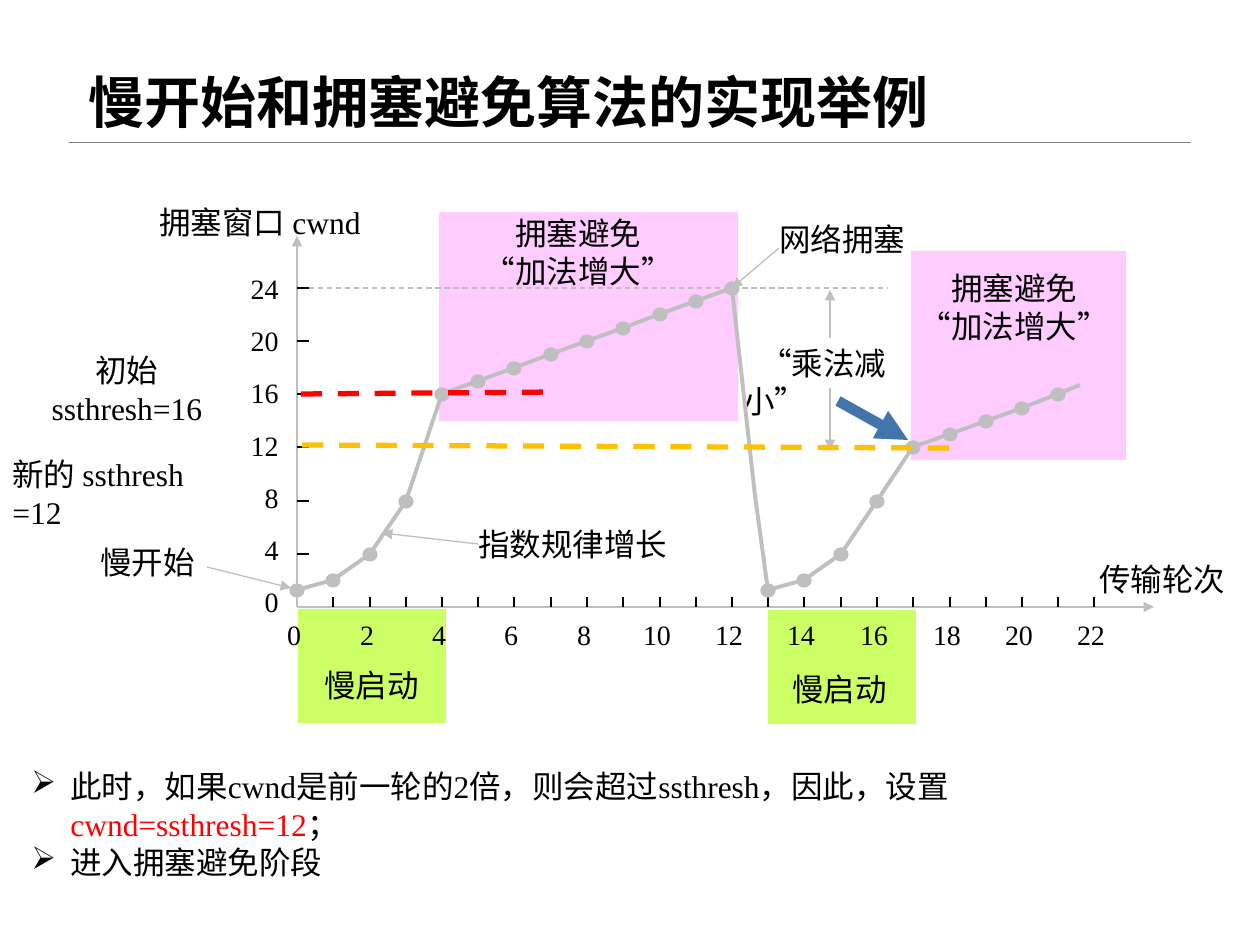
from dataclasses import dataclass

from lxml.etree import SubElement
from pptx import Presentation
from pptx.dml.color import RGBColor
from pptx.enum.dml import MSO_LINE
from pptx.enum.shapes import MSO_CONNECTOR, MSO_SHAPE
from pptx.enum.text import MSO_ANCHOR as Anchor, PP_ALIGN as Align
from pptx.oxml.ns import qn
from pptx.util import Emu, Pt


@dataclass(frozen=True)
class Theme:
    font: str = "Times New Roman"
    title: int = 32
    body: int = 18
    tick: int = 16
    ink: str = "000000"
    paper: str = "FFFFFF"
    rule: str = "808080"
    curve: str = "BFBFBF"
    avoidance: str = "FFCCFF"
    slow_start: str = "CCFF66"
    first_limit: str = "FF0000"
    second_limit: str = "FFC000"
    pointer: str = "4276AA"


THEME = Theme()
SCALE = 914400 / 126
ORIGIN_X, ORIGIN_Y = 297, 607
ROUND_STEP, WINDOW_STEP = 36.25, 13.3
GROWTH = [1.3, 2, 4, 8, *range(16, 25)]
RESTART = [1.3, 2, 4, 8, *range(12, 17)]
RESTART_ROUND = 13


def px(length):
    return Emu(round(length * SCALE))


def color(value):
    return RGBColor.from_string(value)


def plot(transmission, window):
    return (round(ORIGIN_X + transmission * ROUND_STEP),
            round(ORIGIN_Y - window * WINDOW_STEP))


def apply(target, formats):
    for name, value in formats.items():
        setattr(target, name, value)


def write(frame, paragraphs, size=THEME.body, bold=False, bullet=None, **formats):
    for index, parts in enumerate(paragraphs):
        paragraph = frame.paragraphs[0] if index == 0 else frame.add_paragraph()
        apply(paragraph, formats)
        if bullet:
            properties = paragraph._p.get_or_add_pPr()
            properties.set("marL", str(px(39)))
            properties.set("indent", str(-px(39)))
            SubElement(properties, qn("a:buChar")).set("char", bullet)
        for words, ink in parts:
            run = paragraph.add_run()
            run.text = words
            apply(run.font, {"name": THEME.font, "size": Pt(size), "bold": bold})
            run.font.color.rgb = color(ink)


def add_text(slide, box, lines, wrap=False, anchor=Anchor.TOP, **formats):
    frame = slide.shapes.add_textbox(*map(px, box)).text_frame
    apply(frame, {"word_wrap": wrap, "vertical_anchor": anchor})
    paragraphs = [[(line, THEME.ink)] if isinstance(line, str) else line
                  for line in lines]
    write(frame, paragraphs, **formats)


def add_block(slide, box, fill, kind=MSO_SHAPE.RECTANGLE, outline=None):
    block = slide.shapes.add_shape(kind, *map(px, box))
    block.shadow.inherit = False
    block.fill.solid()
    block.fill.fore_color.rgb = color(fill)
    if outline:
        block.line.color.rgb = color(outline)
        block.line.width = Pt(0.75)
    else:
        block.line.fill.background()
    return block


def add_line(slide, start, end, ink=THEME.curve, width=0.75, dash=None, ends=()):
    line = slide.shapes.add_connector(
        MSO_CONNECTOR.STRAIGHT, *map(px, (*start, *end)))
    apply(line.line, {"width": Pt(width), "dash_style": dash})
    line.line.color.rgb = color(ink)
    outline = line.line._get_or_add_ln()
    for end_tag in ends:
        SubElement(outline, qn(f"a:{end_tag}")).set("type", "triangle")
    SubElement(line._element.spPr, qn("a:effectLst"))


def add_halving_note(slide):
    add_line(slide, (830, 290), (830, 450), ends=("headEnd", "tailEnd"))
    note = add_block(slide, (731, 338, 190, 50), THEME.paper)
    apply(note.text_frame, {"word_wrap": True, "vertical_anchor": Anchor.TOP})
    write(note.text_frame, [[("“乘法减小”", THEME.ink)]], alignment=Align.LEFT)
    note.text_frame.paragraphs[0]._p.get_or_add_pPr().set("indent", str(px(17)))


def add_axes(slide):
    origin = (ORIGIN_X, ORIGIN_Y)
    add_line(slide, (ORIGIN_X, 236), origin, ends=("headEnd",))
    add_line(slide, origin, (1154, ORIGIN_Y), ends=("tailEnd",))
    for transmission in range(1, 23):
        x, y = plot(transmission, 0)
        add_line(slide, (x, y - 10), (x, y), THEME.ink)
    for transmission in range(0, 23, 2):
        x, y = plot(transmission, 0)
        add_text(slide, (x - 30, 611, 54, 47), [str(transmission)],
                 size=THEME.tick, alignment=Align.CENTER)
    for window in range(0, 25, 4):
        x, y = plot(0, window)
        if window:
            add_line(slide, (x, y), (x + 12, y), THEME.ink)
        add_text(slide, (237, round(578 - window * 13.04), 54, 47), [str(window)],
                 size=THEME.tick, alignment=Align.RIGHT)


def add_window_curve(slide):
    growth = [plot(*point) for point in enumerate(GROWTH)]
    restart = [plot(*point) for point in enumerate(RESTART, RESTART_ROUND)]
    for x, y in growth + restart:
        add_block(slide, (x - 7, y - 6, 14, 13), THEME.curve,
                  MSO_SHAPE.OVAL, THEME.curve)
    route = [*growth, plot(12.63, 8.4), *restart, plot(21.6, 16.7)]
    builder = slide.shapes.build_freeform(*route[0], scale=SCALE)
    builder.add_line_segments(route[1:], close=False)
    curve = builder.convert_to_shape()
    curve.shadow.inherit = False
    curve.fill.background()
    curve.line.color.rgb = color(THEME.curve)
    curve.line.width = Pt(2.25)


def add_labels(slide):
    labels = [
        ((147, 197, 233, 50), "拥塞窗口 cwnd"),
        ((767, 214, 151, 50), "网络拥塞"),
        ((466, 519, 214, 50), "指数规律增长"),
        ((88, 537, 136, 50), "慢开始"),
        ((312, 660, 120, 50), "慢启动"),
        ((780, 664, 120, 50), "慢启动"),
        ((1087, 554, 151, 50), "传输轮次"),
    ]
    for box, words in labels:
        add_text(slide, box, [words])
    for box in ((470, 208, 217, 89), (906, 263, 217, 89)):
        add_text(slide, box, ["拥塞避免", "“加法增大”"], alignment=Align.CENTER)
    add_text(slide, (0, 449, 230, 88), ["新的 ssthresh =12"], wrap=True)
    add_text(slide, (22, 345, 210, 88), ["初始ssthresh=16"], wrap=True,
             alignment=Align.CENTER)
    for start, end in (((779, 248), (732, 288)), ((478, 544), (382, 533)),
                       ((207, 567), (291, 588))):
        add_line(slide, start, end, ends=("tailEnd",))


def add_thresholds(slide):
    for start, end, ink in (((301, 394), (557, 392), THEME.first_limit),
                            ((949, 448), (301, 445), THEME.second_limit)):
        add_line(slide, start, end, ink, 3, MSO_LINE.DASH)
    add_line(slide, (838, 401), (908, 440), THEME.pointer, 6, ends=("tailEnd",))


def main():
    deck = Presentation()
    apply(deck, {"slide_width": px(1260), "slide_height": px(945)})
    slide = deck.slides.add_slide(deck.slide_layouts[6])
    add_line(slide, (69, 142), (1191, 142), THEME.rule, 0.25)
    add_text(slide, (76, 57, 1074, 85), ["慢开始和拥塞避免算法的实现举例"], wrap=True,
             anchor=Anchor.BOTTOM, size=THEME.title, bold=True, line_spacing=0.9)
    add_halving_note(slide)
    for box, fill in (((911, 251, 215, 209), THEME.avoidance),
                      ((439, 212, 299, 209), THEME.avoidance),
                      ((768, 610, 148, 114), THEME.slow_start),
                      ((298, 609, 148, 114), THEME.slow_start)):
        add_block(slide, box, fill)
    add_axes(slide)
    add_labels(slide)
    add_line(slide, (309, 288), (887, 288), dash=MSO_LINE.DASH)
    add_window_curve(slide)
    add_thresholds(slide)
    add_text(slide, (19, 761, 1208, 89), [
        [("此时，如果cwnd是前一轮的2倍，则会超过ssthresh，因此，设置", THEME.ink),
         ("cwnd=ssthresh=12", THEME.first_limit), ("；", THEME.ink)],
        "进入拥塞避免阶段",
    ], wrap=True, bullet="➢")
    deck.save("out.pptx")


if __name__ == "__main__":
    main()
